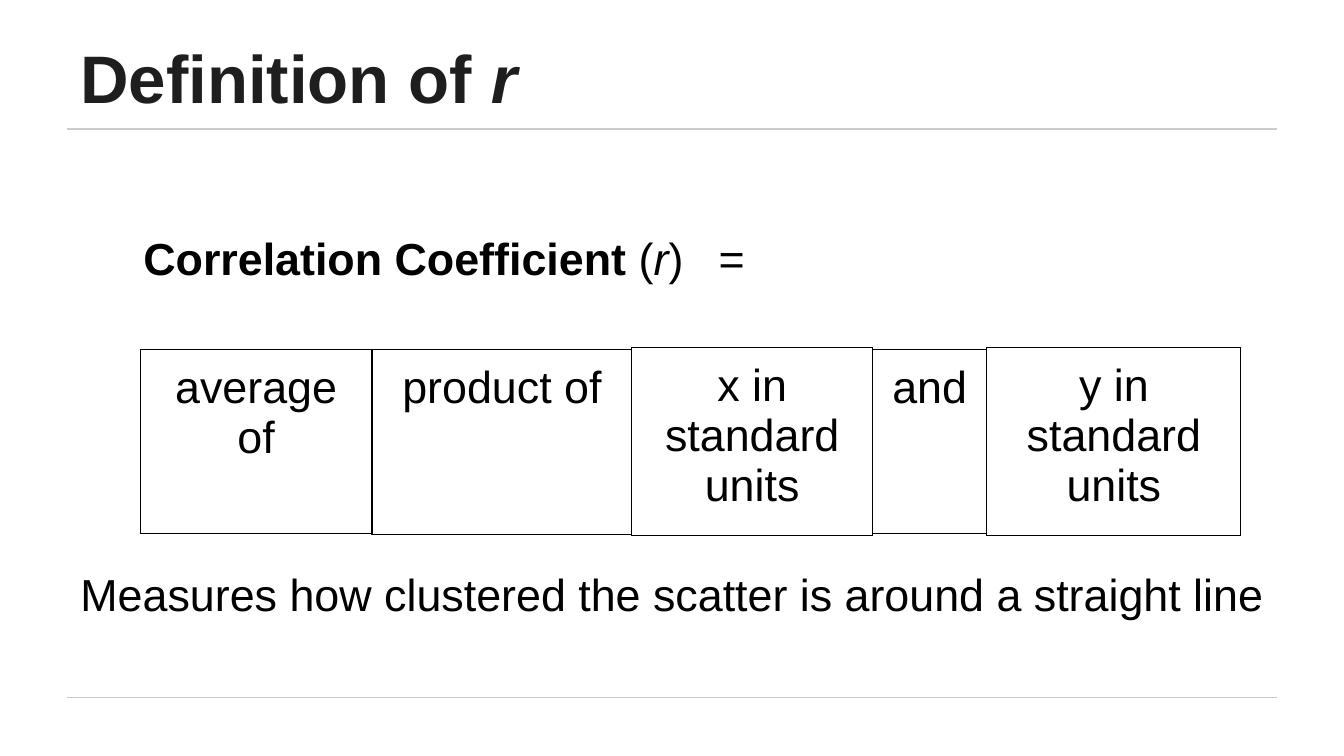
from dataclasses import dataclass
from lxml.etree import SubElement as Sub
from pptx import Presentation
from pptx.dml.color import RGBColor as RGB
from pptx.enum.shapes import MSO_CONNECTOR as Link
from pptx.enum.text import MSO_ANCHOR as Anchor, PP_ALIGN as Align
from pptx.oxml import parse_xml
from pptx.oxml.ns import nsdecls, qn
from pptx.util import Cm, Pt


@dataclass(frozen=True)
class Theme:
    font: str = "Arial"
    ink: str = "000000"
    head: str = "1E1E1E"
    rule: str = "CCCCCC"
    title: int = 36
    body: int = 24
    line: float = 0.75
    pad: float = 0.25


class Deck:
    def __init__(self, theme, wide, high):
        self.theme = theme
        self.prs = Presentation()
        self.prs.slide_width, self.prs.slide_height = Cm(wide), Cm(high)
        self.slide = self.prs.slides.add_slide(self.prs.slide_layouts[6])

    def style(self, para, size, color):
        para.font.name = self.theme.font
        para.font.size = Pt(size)
        para.font.color.rgb = RGB.from_string(color)

    def pad(self, box):
        """Set equal margins on a text frame or a cell."""
        for side in ("left", "top", "right", "bottom"):
            setattr(box, f"margin_{side}", Cm(self.theme.pad))

    def rule(self, x, y, wide):
        line = self.slide.shapes.add_connector(
            Link.STRAIGHT, Cm(x), Cm(y), Cm(x + wide), Cm(y))
        line.line.color.rgb = RGB.from_string(self.theme.rule)
        line.line.width = Pt(self.theme.line)
        Sub(line._element.spPr, qn("a:effectLst"))

    def text(self, x, y, wide, high, runs, size, color,
             anchor=Anchor.TOP, bold=None, tab=None):
        """Add a text box; runs are (text, marks), marks holding b or i."""
        box = self.slide.shapes.add_textbox(Cm(x), Cm(y), Cm(wide), Cm(high))
        frame = box.text_frame
        frame.word_wrap = True
        frame.vertical_anchor = anchor
        self.pad(frame)
        para = frame.paragraphs[0]
        if tab:
            stops = Sub(para._p.get_or_add_pPr(), qn("a:tabLst"))
            Sub(stops, qn("a:tab"), pos=str(Cm(tab)), algn="l")
        self.style(para, size, color)
        para.font.bold = bold
        for words, marks in runs:
            run = para.add_run()
            run.text = words
            if "b" in marks:
                run.font.bold = True
            if "i" in marks:
                run.font.italic = True

    def card(self, x, y, wide, high, words):
        """Add a bordered table of one cell."""
        table = self.slide.shapes.add_table(
            1, 1, Cm(x), Cm(y), Cm(wide), Cm(high)).table
        table.first_row = table.horz_banding = False
        cell = table.cell(0, 0)
        cell.text = words
        cell.fill.background()
        self.pad(cell)
        para = cell.text_frame.paragraphs[0]
        para.alignment = Align.CENTER
        self.style(para, self.theme.body, self.theme.ink)
        props = cell._tc.get_or_add_tcPr()
        for spot, side in enumerate("LRTB"):
            props.insert(spot, parse_xml(
                f'<a:ln{side} {nsdecls("a")} w="{Pt(self.theme.line)}">'
                f'<a:solidFill><a:srgbClr val="{self.theme.ink}"/>'
                f'</a:solidFill></a:ln{side}>'))


def main():
    theme = Theme()
    deck = Deck(theme, 25.4, 14.29)
    for y in (2.44, 13.18):
        deck.rule(1.27, y, 22.86)
    deck.text(1.27, 0.58, 18.62, 1.88, [("Definition of ", ""), ("r", "i")],
              theme.title, theme.head, anchor=Anchor.BOTTOM, bold=True)

    x = 2.65
    for words, wide, y, high in (
            ("average of", 4.38, 6.61, 3.48),
            ("product of", 4.91, 6.61, 3.5),
            ("x in standard units", 4.55, 6.57, 2.31),
            ("and", 2.16, 6.61, 3.48),
            ("y in standard units", 4.8, 6.57, 2.59)):
        deck.card(x, y, wide, high, words)
        x += wide

    deck.text(2.46, 4.11, 13.03, 1.88,
              [("Correlation Coefficient", "b"), (" (", ""), ("r", "i"),
               (")\t=", "")], theme.body, theme.ink, tab=10.87)
    deck.text(1.27, 10.46, 23.11, 2.46,
              [("Measures how clustered the scatter is around a straight line",
                "")], theme.body, theme.ink)
    deck.prs.save("out.pptx")


if __name__ == "__main__":
    main()
